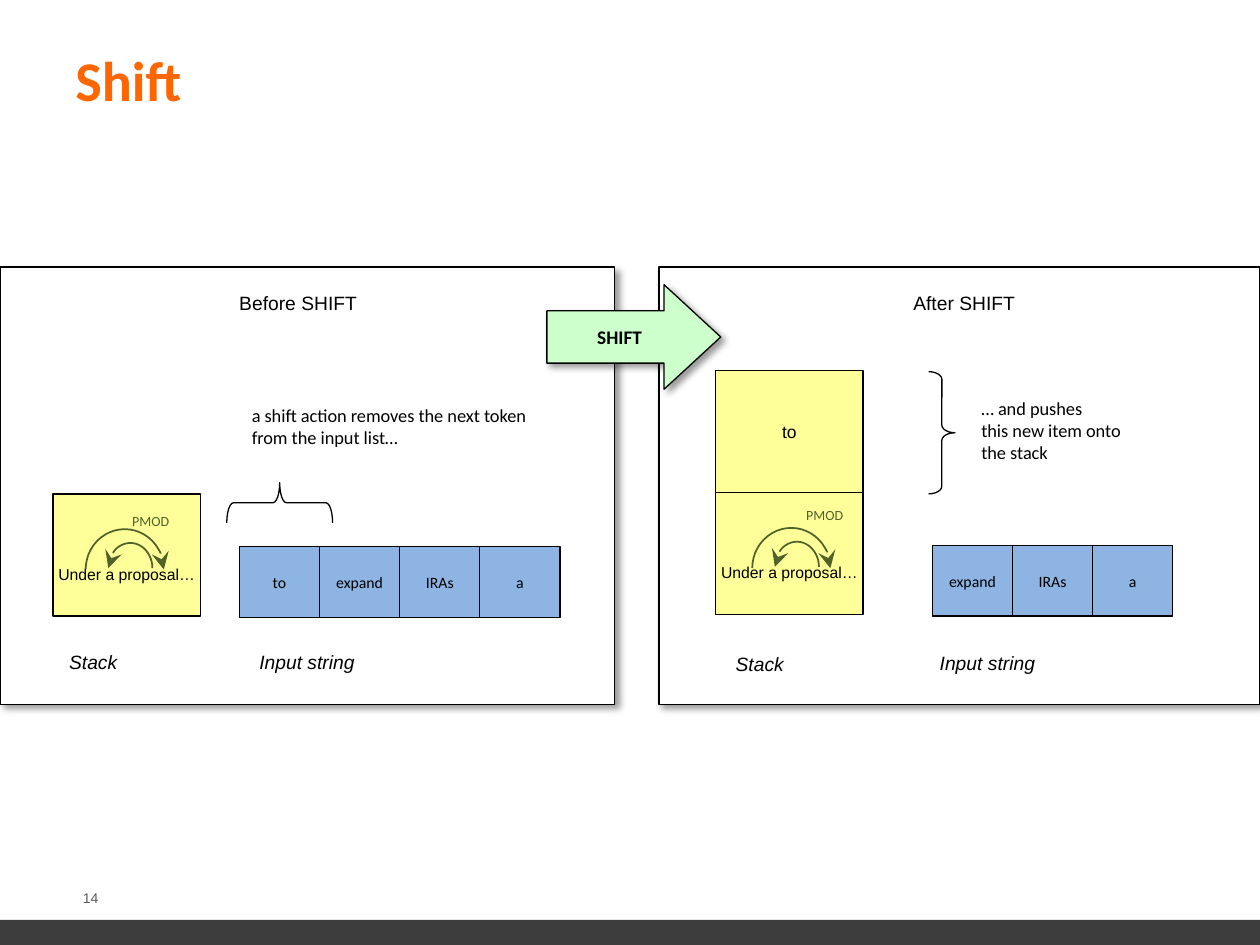
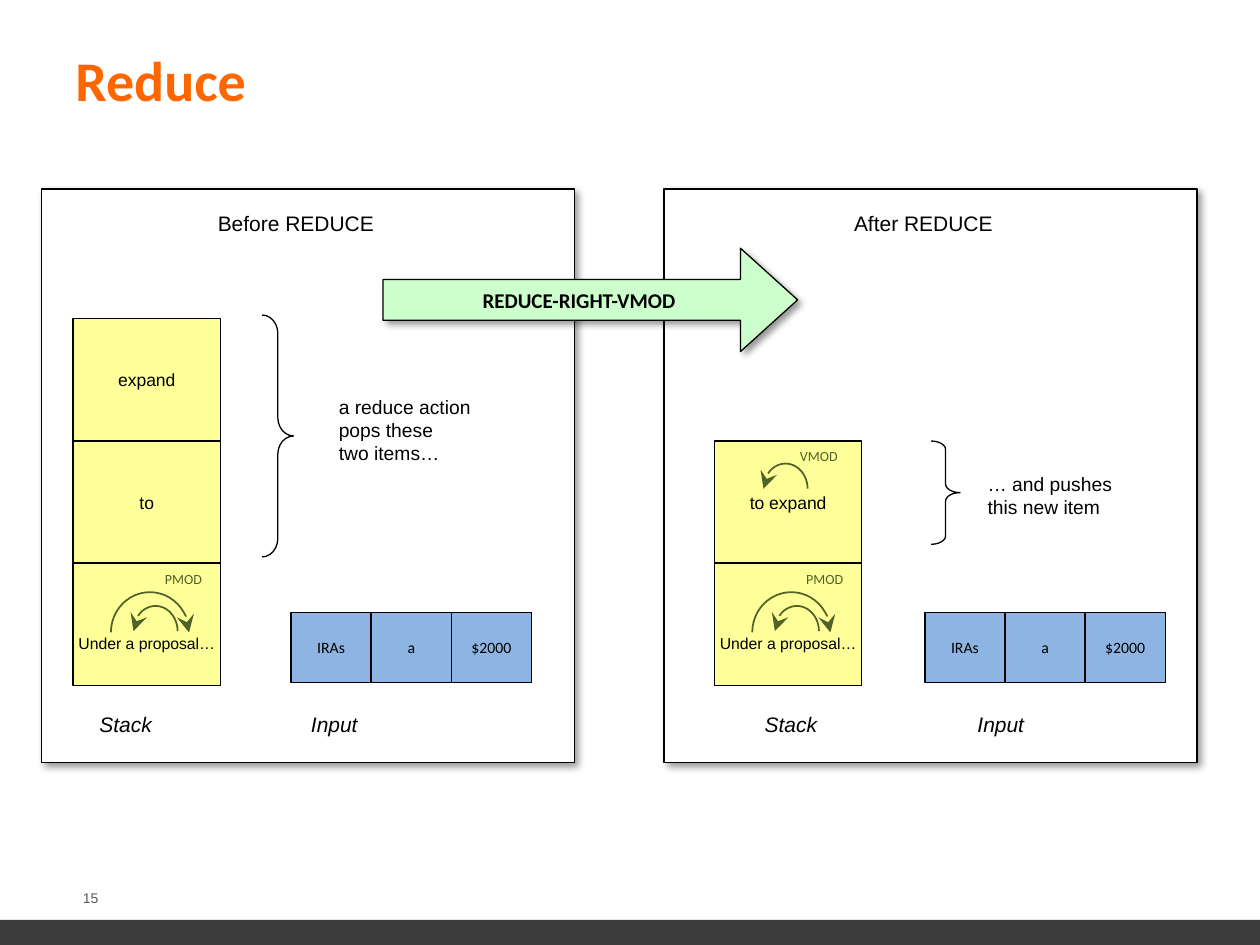
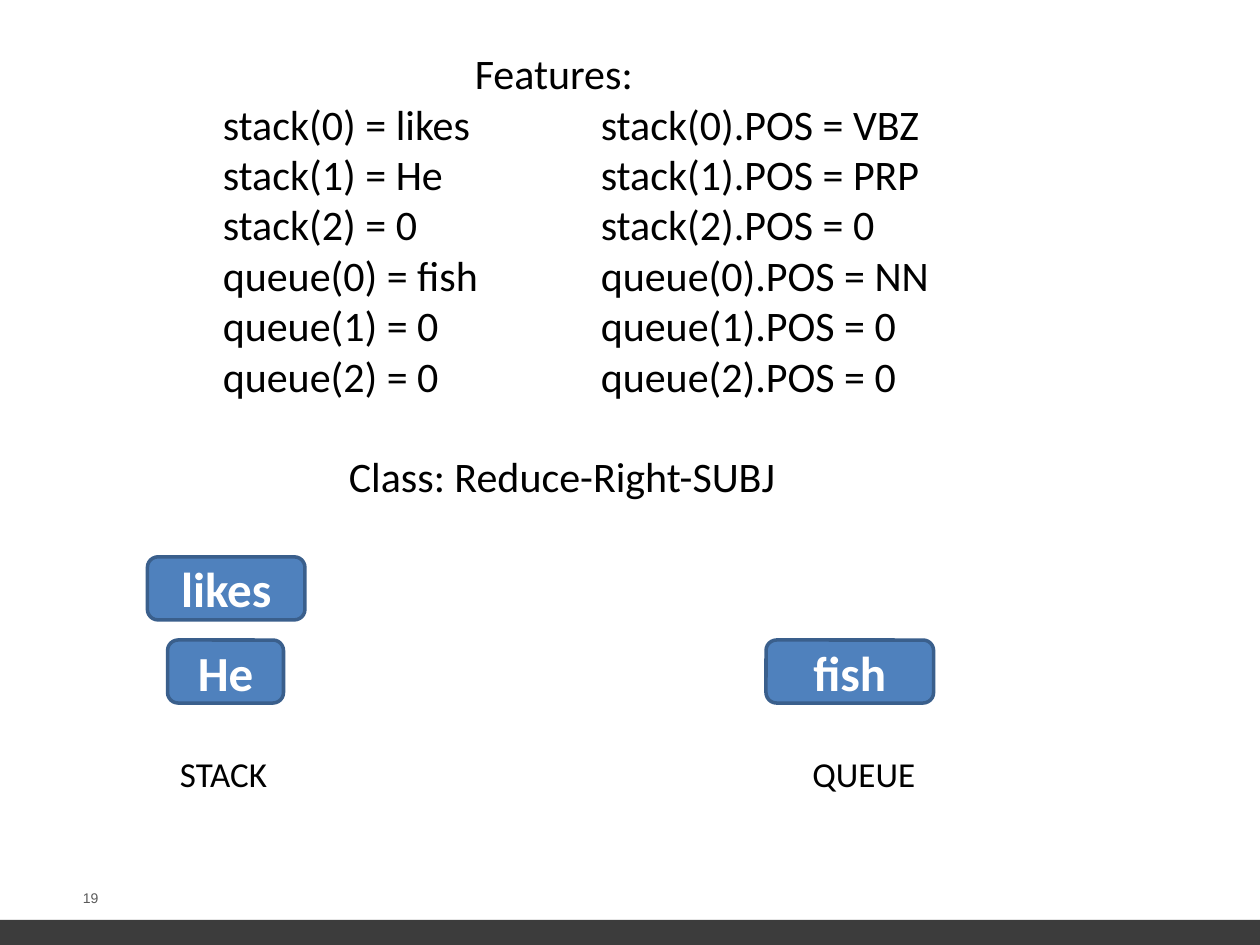
from lxml import etree
from pptx import Presentation
from pptx.dml.color import RGBColor
from pptx.enum import shapes, text
from pptx.oxml import ns
from pptx.util import Inches, Pt

BLACK = RGBColor(0x00, 0x00, 0x00)
WHITE = RGBColor(0xFF, 0xFF, 0xFF)
ORANGE = RGBColor(0xFF, 0x66, 0x00)
FOOTER = RGBColor(0x3C, 0x3C, 0x3C)
GREY = RGBColor(0x5A, 0x5A, 0x5A)
YELLOW = RGBColor(0xFF, 0xFF, 0x99)
TOKEN_BLUE = RGBColor(0x8E, 0xB4, 0xE3)
MINT = RGBColor(0xCC, 0xFF, 0xCC)
OLIVE = RGBColor(0x4F, 0x62, 0x28)
WORD_BLUE = RGBColor(0x4F, 0x81, 0xBD)
WORD_EDGE = RGBColor(0x3A, 0x5F, 0x8C)

CELL_W, CELL_H = 1.17, 0.97
TOKEN_W, TOKEN_H = 0.636, 0.56
SHAPE = shapes.MSO_SHAPE
MIDDLE = text.MSO_ANCHOR.MIDDLE
CENTER = text.PP_ALIGN.CENTER


def sub(parent, tag, **attrs):
    return etree.SubElement(parent, ns.qn(tag), **attrs)


def write(tf, content, *, size, font="Arial", color=BLACK, bold=False,
          italic=False, align=None, anchor=None, wrap=False):
    """Fill a text frame, one paragraph per line of content."""
    tf.word_wrap = wrap
    if anchor is not None:
        tf.vertical_anchor = anchor
    for i, line in enumerate(content.split("\n")):
        p = tf.paragraphs[0] if i == 0 else tf.add_paragraph()
        if align is not None:
            p.alignment = align
        r = p.add_run()
        r.text = line
        r.font.size, r.font.name = Pt(size), font
        r.font.bold, r.font.italic = bold, italic
        r.font.color.rgb = color


def add_text(slide, x, y, w, h, content, **fmt):
    tf = slide.shapes.add_textbox(Inches(x), Inches(y), Inches(w), Inches(h)).text_frame
    write(tf, content, **fmt)
    if "anchor" not in fmt:
        tf.auto_size = text.MSO_AUTO_SIZE.SHAPE_TO_FIT_TEXT
    return tf


def add_shape(slide, kind, x, y, w, h, fill=None, line=BLACK, width=0.75, adj=()):
    s = slide.shapes.add_shape(kind, Inches(x), Inches(y), Inches(w), Inches(h))
    s.shadow.inherit = False
    if fill is None:
        s.fill.background()
    else:
        s.fill.solid()
        s.fill.fore_color.rgb = fill
    if line is None:
        s.line.fill.background()
    else:
        s.line.color.rgb = line
        s.line.width = Pt(width)
    for i, value in enumerate(adj):
        s.adjustments[i] = value
    return s


def drop_shadow(s):
    effects = s.element.spPr.find(ns.qn("a:effectLst"))
    shadow = sub(effects, "a:outerShdw", blurRad=str(Pt(4)), dist=str(Pt(3)),
                 dir="2700000", algn="tl", rotWithShape="0")
    color = sub(shadow, "a:srgbClr", val="000000")
    sub(color, "a:alpha", val="40000")


def add_slide(prs, number, title=None):
    slide = prs.slides.add_slide(prs.slide_layouts[6])
    add_shape(slide, SHAPE.RECTANGLE, 0, 7.3, 10, 0.2, FOOTER, None)
    add_text(slide, 0.56, 7.01, 0.34, 0.23, str(number), size=8, color=GREY)
    if title:
        add_text(slide, 0.5, 0, 9, 1.25, title, size=32, font="Calibri",
                 color=ORANGE, bold=True, anchor=MIDDLE, wrap=True)
    return slide


def add_panel(slide, x, y, w, h):
    drop_shadow(add_shape(slide, SHAPE.RECTANGLE, x, y, w, h, WHITE))


def add_action(slide, x, y, w, h, name, size, adj):
    s = add_shape(slide, SHAPE.RIGHT_ARROW, x, y, w, h, MINT, adj=adj)
    drop_shadow(s)
    write(s.text_frame, name, size=size, font="Calibri", bold=True,
          align=CENTER, anchor=MIDDLE)


def add_brace(slide, x, y, w, h, curl, rotation=0):
    s = add_shape(slide, SHAPE.RIGHT_BRACE, x, y, w, h, adj=(curl, 0.5))
    s.rotation = rotation


def add_arc(slide, x, y, w, h, to_left=False):
    """Half-circle dependency arc ending in an arrowhead."""
    s = add_shape(slide, SHAPE.ARC, x, y, w, h, line=OLIVE, width=1, adj=(108.159, 0))
    if to_left:
        s.element.spPr.xfrm.set("flipH", "1")
    sub(s.line._get_or_add_ln(), "a:tailEnd", type="stealth", w="lg", len="lg")


def add_inner_arc(slide, x, y):
    add_arc(slide, x, y, 0.35, 0.4, to_left=True)


def add_relation(slide, x, y, name):
    add_text(slide, x, y, 0.71, 0.24, name, size=8, font="Calibri",
             color=OLIVE, wrap=True)


def add_cell(slide, x, y, content, size=10):
    s = add_shape(slide, SHAPE.RECTANGLE, x, y, CELL_W, CELL_H, YELLOW)
    write(s.text_frame, content, size=size, align=CENTER, anchor=MIDDLE)
    return s


def add_stack(slide, x, y, words, arc, label):
    """Parsed phrase at (x, y) with words piled on it; arc and label are offsets."""
    base = add_cell(slide, x, y, "Under a proposal…", size=9)
    base.text_frame.margin_top = Inches(0.35)
    for level, word in enumerate(words, 1):
        add_cell(slide, x, y - level * CELL_H, word)
    arc_x, arc_y = x + arc[0], y + arc[1]
    add_inner_arc(slide, arc_x, arc_y)
    add_arc(slide, arc_x - 0.18, arc_y - 0.11, 0.62, 0.64)
    add_relation(slide, x + label[0], y + label[1], "PMOD")


def add_tokens(slide, x, y, words):
    for i, word in enumerate(words):
        s = add_shape(slide, SHAPE.RECTANGLE, x + i * TOKEN_W, y, TOKEN_W, TOKEN_H,
                      TOKEN_BLUE)
        write(s.text_frame, word, size=9, font="Calibri", align=CENTER, anchor=MIDDLE)


def add_word(slide, x, y, w, word):
    s = add_shape(slide, SHAPE.ROUNDED_RECTANGLE, x, y, w, 0.5, WORD_BLUE, WORD_EDGE, 2)
    write(s.text_frame, word, size=28, font="Calibri", color=WHITE, bold=True,
          align=CENTER, anchor=MIDDLE, wrap=True)


def build_shift(prs):
    slide = add_slide(prs, 14, "Shift")
    for x, w in ((0, 4.88), (5.23, 4.77)):
        add_panel(slide, x, 2.12, w, 3.47)
    for x, w, heading in ((1.8, 1.15, "Before SHIFT"), (7.15, 1.02, "After SHIFT")):
        add_text(slide, x, 2.26, w, 0.29, heading, size=11)
    for x, y, w, caption in ((0.45, 5.11, 0.59, "Stack"), (1.96, 5.11, 0.96, "Input string"),
                             (5.74, 5.13, 0.59, "Stack"), (7.36, 5.12, 0.96, "Input string")):
        add_text(slide, x, y, w, 0.29, caption, size=11, italic=True)
    add_action(slide, 4.34, 2.26, 1.38, 0.83, "SHIFT", 11, (0.5, 0.542))

    add_stack(slide, 0.42, 3.92, [], (0.44, 0.39), (0.53, 0.1))
    add_tokens(slide, 1.9, 4.34, ["to", "expand", "IRAs", "a"])
    add_brace(slide, 2.06, 3.57, 0.32, 0.84, 0.167, rotation=270)
    add_text(slide, 1.9, 3.16, 2.6, 0.45,
             "a shift action removes the next token\nfrom the input list…",
             size=10.5, font="Calibri")

    add_stack(slide, 5.68, 3.91, ["to"], (0.47, 0.39), (0.62, 0.06))
    add_tokens(slide, 7.4, 4.33, ["expand", "IRAs", "a"])
    add_brace(slide, 7.37, 2.95, 0.21, 0.97, 0.292)
    add_text(slide, 7.69, 3.1, 1.43, 0.63,
             "… and pushes\nthis new item onto\nthe stack", size=10.5, font="Calibri")


def build_reduce(prs):
    slide = add_slide(prs, 15, "Reduce")
    for x in (5.27, 0.33):
        add_panel(slide, x, 1.5, 4.23, 4.55)
    for x, w, heading in ((1.63, 1.58, "Before REDUCE"), (6.68, 1.43, "After REDUCE")):
        add_text(slide, x, 1.62, w, 0.3, heading, size=12)
    for x, w, caption in ((0.69, 0.68, "Stack"), (2.37, 0.63, "Input"),
                          (5.97, 0.68, "Stack"), (7.66, 0.63, "Input")):
        add_text(slide, x, 5.6, w, 0.3, caption, size=12, italic=True)
    add_action(slide, 3.04, 1.97, 3.29, 0.82, "REDUCE-RIGHT-VMOD", 12, (0.395, 0.553))

    add_brace(slide, 2.08, 2.5, 0.25, 1.92, 0.584)
    add_text(slide, 2.59, 3.09, 1.41, 0.66,
             "a reduce action\npops these\ntwo items…", size=11)
    add_brace(slide, 7.39, 3.5, 0.23, 0.82, 0.292)
    add_text(slide, 7.74, 3.7, 1.3, 0.47, "… and pushes\nthis new item", size=11)

    for x, words in ((0.58, ["to", "expand"]), (5.67, ["to expand"])):
        add_stack(slide, x, 4.47, words, (0.48, 0.34), (0.63, 0.01))
    add_inner_arc(slide, 6.06, 3.68)
    add_relation(slide, 6.25, 3.5, "VMOD")
    for x in (2.31, 7.34):
        add_tokens(slide, x, 4.86, ["IRAs", "a", "$2000"])


def build_features(prs):
    slide = add_slide(prs, 19)
    for x, w, caption in ((1.33, 0.9, "STACK"), (6.35, 1.03, "QUEUE")):
        add_text(slide, x, 5.92, w, 0.44, caption, size=20, font="Calibri")
    for x, y, w, word in ((1.33, 5.08, 0.92, "He"), (1.17, 4.42, 1.25, "likes"),
                          (6.08, 5.08, 1.33, "fish")):
        add_word(slide, x, y, w, word)

    features = [("stack(0)", "likes", "VBZ"), ("stack(1)", "He", "PRP"),
                ("stack(2)", "0", "0"), ("queue(0)", "fish", "NN"),
                ("queue(1)", "0", "0"), ("queue(2)", "0", "0")]
    rows = [f"{slot} = {word}\t{slot}.POS = {pos}" for slot, word, pos in features]
    lines = ["Features:", *rows, "Class: Reduce-Right-SUBJ"]
    tf = add_text(slide, 1.67, 0.33, 6.17, 3.74, "\n".join(lines), size=24,
                  font="Calibri", wrap=True)
    heading, *body, label = tf.paragraphs
    for p, indent in ((heading, 2), (label, 1)):
        p._p.get_or_add_pPr().set("marL", str(Inches(indent)))
    for p in body:
        tabs = sub(p._p.get_or_add_pPr(), "a:tabLst")
        sub(tabs, "a:tab", pos=str(Inches(3)), algn="l")
    label.space_before = Pt(28.8)


def main():
    prs = Presentation()
    prs.slide_width, prs.slide_height = Inches(10), Inches(7.5)
    build_shift(prs)
    build_reduce(prs)
    build_features(prs)
    prs.save("out.pptx")


if __name__ == "__main__":
    main()
